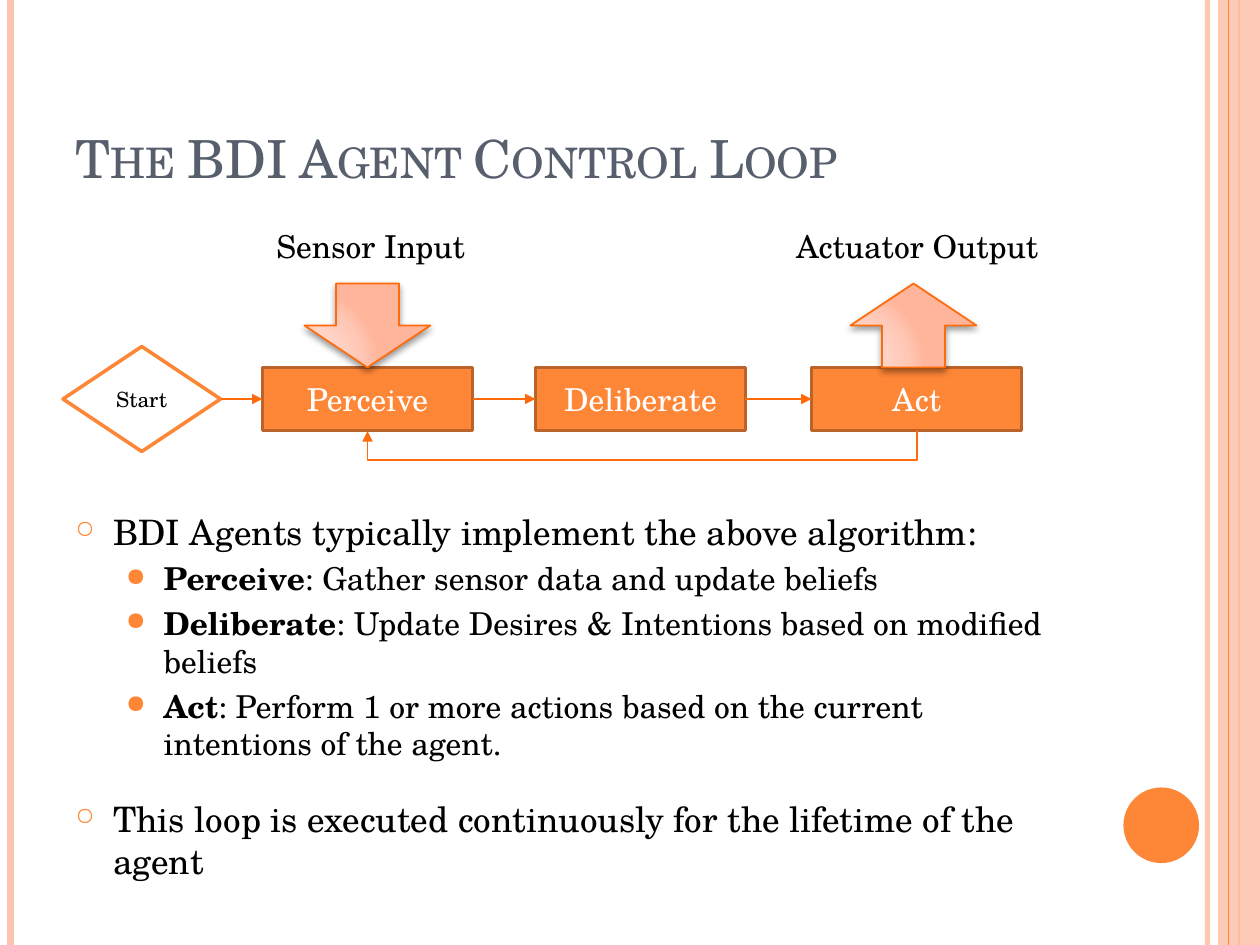
from lxml.etree import SubElement
from pptx import Presentation
from pptx.dml.color import RGBColor
from pptx.enum.shapes import MSO_CONNECTOR, MSO_SHAPE
from pptx.enum.text import MSO_ANCHOR, PP_ALIGN
from pptx.oxml import parse_xml
from pptx.oxml.ns import nsdecls, qn
from pptx.util import Inches, Pt

FONT = "TeX Gyre Schola"
COLORS = {
    "orange": "FE8637", "edge": "BC6329", "flow": "FF6B0A", "peach": "FEC3AE",
    "title": "575F6D", "black": "000000", "white": "FFFFFF",
}
COLORS = {name: RGBColor.from_string(value) for name, value in COLORS.items()}

deck = Presentation()
deck.slide_width, deck.slide_height = Inches(10), Inches(7.5)
page = deck.slides.add_slide(deck.slide_layouts[6])
shapes = page.shapes
COLUMNS, ROWS = 120, 90
unit = deck.slide_width // COLUMNS  # square grid cells, twelve to the inch


def grid(*cells):
    return [round(cell * unit) for cell in cells]


def style_text(paragraph, size, color, align=PP_ALIGN.LEFT):
    paragraph.alignment = align
    for span in paragraph.runs:
        span.font.name = FONT
        span.font.size = Pt(size)
        span.font.color.rgb = COLORS[color]


# Vertical stripes at the sides
for column, width, color, opacity in [
    (115, 3, "peach", 93), (1, 4.5, "peach", 100), (118, 1.5, "orange", 100),
    (None, 0, "peach", 87), (117, 0.75, "orange", 100),
]:
    if column is None:
        stripe = shapes.add_shape(MSO_SHAPE.RECTANGLE, *grid(116, 0, 4, ROWS))
        stripe.shadow.inherit = False
        stripe.line.fill.background()
        paint = stripe.fill
        paint.solid()
        paint.fore_color.rgb = COLORS[color]
    else:
        stripe = shapes.add_connector(MSO_CONNECTOR.STRAIGHT, *grid(column, 0, column, ROWS))
        stripe.line.width = Pt(width)
        stripe.line.color.rgb = COLORS[color]
        SubElement(stripe._element.spPr, qn("a:effectLst"))
    if opacity < 100:
        tint = next(stripe._element.spPr.iter(qn("a:srgbClr")))
        SubElement(tint, qn("a:alpha"), val=str(opacity * 1000))

# Round ornament
disc = shapes.add_shape(MSO_SHAPE.OVAL, *grid(107, 75, 7.2, 7.2))
disc.shadow.inherit = False
disc.fill.solid()
disc.fill.fore_color.rgb = COLORS["orange"]
disc.line.fill.background()

# Title
title = shapes.add_textbox(*grid(6, 3.6, 98, 15)).text_frame
title.word_wrap = True
title.vertical_anchor = MSO_ANCHOR.BOTTOM
title.text = "The BDI Agent Control Loop"
style_text(title.paragraphs[0], 30, "title")
title.paragraphs[0].runs[0].font._element.set("cap", "small")

# Explanation: level, space before, bold lead, text
body = shapes.add_textbox(*grid(6, 48, 98, 37)).text_frame
body.word_wrap = True
levels = [("○", 70, 0.3, 20), ("●", 80, 0.7, 18)]
points = [
    (0, 0, "", "BDI Agents typically implement the above algorithm:"),
    (1, 4, "Perceive", ": Gather sensor data and update beliefs"),
    (1, 4, "Deliberate", ": Update Desires & Intentions based on modified beliefs"),
    (1, 4, "Act", ": Perform 1 or more actions based on the current intentions of the agent."),
    (0, 20, "", "This loop is executed continuously for the lifetime of the agent"),
]
for index, (level, gap, lead, text) in enumerate(points):
    para = body.add_paragraph() if index else body.paragraphs[0]
    bullet, percent, indent, size = levels[level]
    props = para._p.get_or_add_pPr()
    props.set("marL", str(Inches(indent)))
    props.set("indent", str(Inches(-0.3)))
    bullet_color = SubElement(props, qn("a:buClr"))
    SubElement(bullet_color, qn("a:srgbClr"), val=str(COLORS["orange"]))
    SubElement(props, qn("a:buSzPct"), val=str(percent * 1000))
    SubElement(props, qn("a:buChar"), char=bullet)
    para.level = level
    para.space_before = Pt(gap)
    if lead:
        span = para.add_run()
        span.text = lead
        span.font.bold = True
    para.add_run().text = text
    style_text(para, size, "black")

# Steps of the loop
nodes = []
for kind, text, cells, fill, edge, color, size in [
    (MSO_SHAPE.DIAMOND, "Start", (6, 33, 15, 10), "white", "orange", "black", 12),
    (MSO_SHAPE.RECTANGLE, "Perceive", (25, 35, 20, 6), "orange", "edge", "white", 18),
    (MSO_SHAPE.RECTANGLE, "Deliberate", (51, 35, 20, 6), "orange", "edge", "white", 18),
    (MSO_SHAPE.RECTANGLE, "Act", (77.3, 35, 20, 6), "orange", "edge", "white", 18),
]:
    node = shapes.add_shape(kind, *grid(*cells))
    node.shadow.inherit = False
    node.fill.solid()
    node.fill.fore_color.rgb = COLORS[fill]
    node.line.color.rgb = COLORS[edge]
    node.line.width = Pt(2)
    node.text_frame.text = text
    node.text_frame.vertical_anchor = MSO_ANCHOR.MIDDLE
    style_text(node.text_frame.paragraphs[0], size, color, PP_ALIGN.CENTER)
    nodes.append(node)

# Arrows from step to step
flows = []
for source, target in zip(nodes, nodes[1:]):
    flow = shapes.add_connector(MSO_CONNECTOR.STRAIGHT, 0, 0, 0, 0)
    flow.begin_connect(source, 3)
    flow.end_connect(target, 1)
    flows.append(flow)

# Return path from Act to Perceive: a quarter turn of a thin, tall elbow
perceive, act = nodes[1], nodes[3]
span_width = act.left - perceive.left
middle = (act.left + perceive.left + act.width) // 2
bottom = act.top + act.height
thin = Inches(0.01)
back = shapes.add_connector(
    MSO_CONNECTOR.ELBOW, middle - thin // 2, bottom - span_width // 2,
    middle + thin // 2, bottom + span_width // 2)
back._element.spPr.find(qn("a:xfrm")).set("rot", str(90 * 60000))
adjust = back._element.spPr.find(qn("a:prstGeom")).get_or_add_avLst()
SubElement(adjust, qn("a:gd"), name="adj1", fmla="val 2400000")
flows.append(back)

for flow in flows:
    flow.line.color.rgb = COLORS["flow"]
    flow.line.width = Pt(1)
    SubElement(flow.line._get_or_add_ln(), qn("a:tailEnd"), type="triangle")
    SubElement(flow._element.spPr, qn("a:effectLst"))

# Input and output arrows with their labels
stops = "".join(
    f'<a:gs pos="{share * 1000}"><a:srgbClr val="{color}"/></a:gs>'
    for share, color in [(0, "FFDED5"), (30, "FFDBD0"), (75, "FFC8B6"), (100, "FFB59B")])
gradient = (
    f'<a:gradFill {nsdecls("a")} rotWithShape="1"><a:gsLst>{stops}</a:gsLst>'
    '<a:path path="circle"><a:fillToRect l="5000" t="100000" r="120000" b="10000"/>'
    '</a:path></a:gradFill>')
shadow = (
    f'<a:effectLst {nsdecls("a")}><a:outerShdw blurRad="{Pt(4)}" dist="{Pt(2)}" '
    'dir="5400000" rotWithShape="0"><a:srgbClr val="000000"><a:alpha val="40000"/>'
    '</a:srgbClr></a:outerShdw></a:effectLst>')
for kind, column, text, label_column, label_width in [
    (MSO_SHAPE.DOWN_ARROW, 29, "Sensor Input", 25, 20.6),
    (MSO_SHAPE.UP_ARROW, 81, "Actuator Output", 74.5, 25.7),
]:
    arrow = shapes.add_shape(kind, *grid(column, 27, 12, 8))
    arrow.line.color.rgb = COLORS["flow"]
    arrow.line.width = Pt(1)
    arrow._element.spPr.find(qn("a:ln")).addprevious(parse_xml(gradient))
    arrow._element.spPr.append(parse_xml(shadow))
    label = shapes.add_textbox(*grid(label_column, 21, label_width, 4.8)).text_frame
    label.word_wrap = False
    label.text = text
    style_text(label.paragraphs[0], 18, "black", PP_ALIGN.CENTER)

deck.save("out.pptx")
